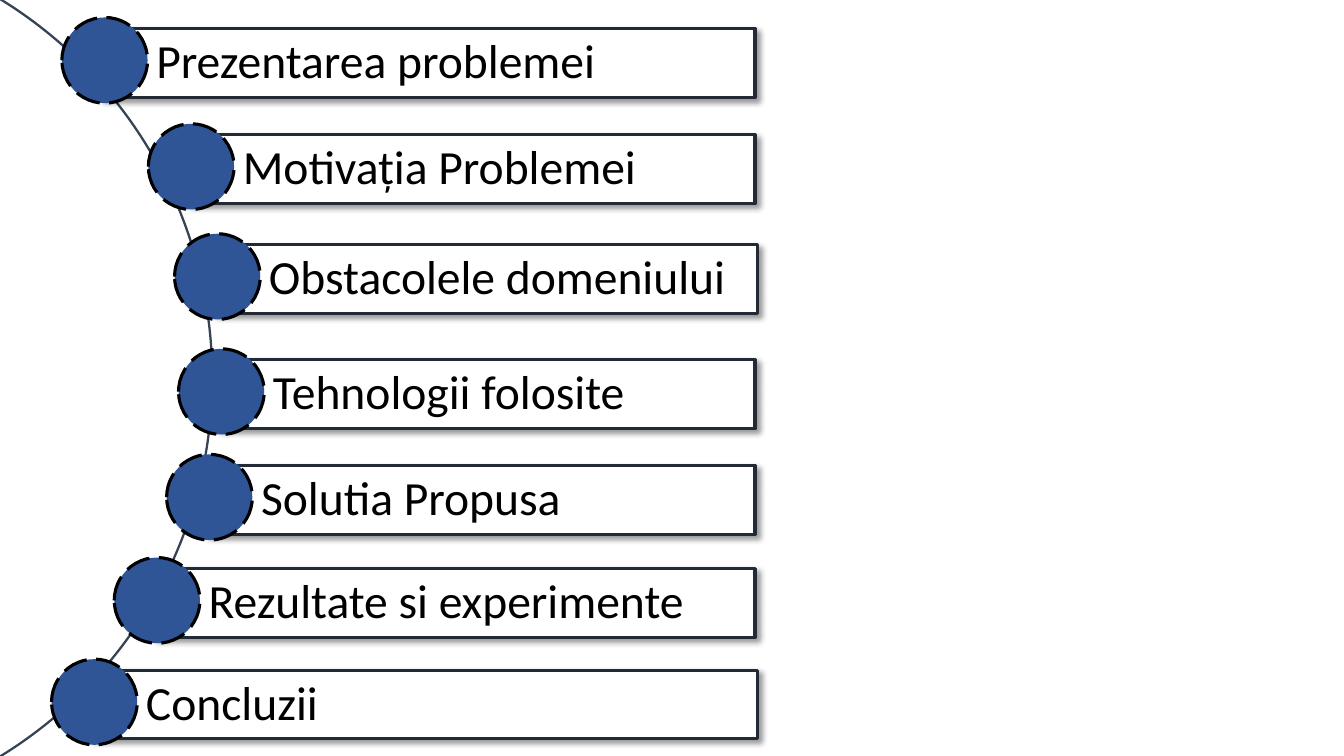
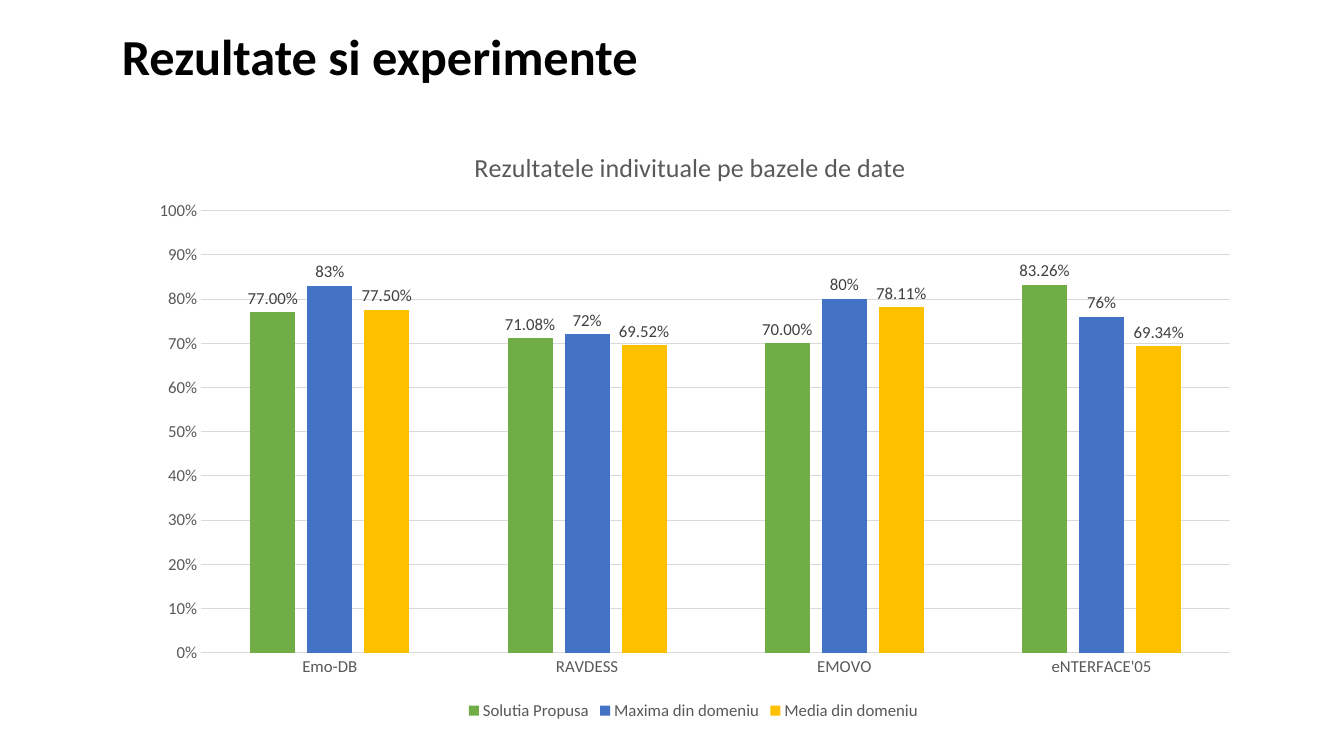
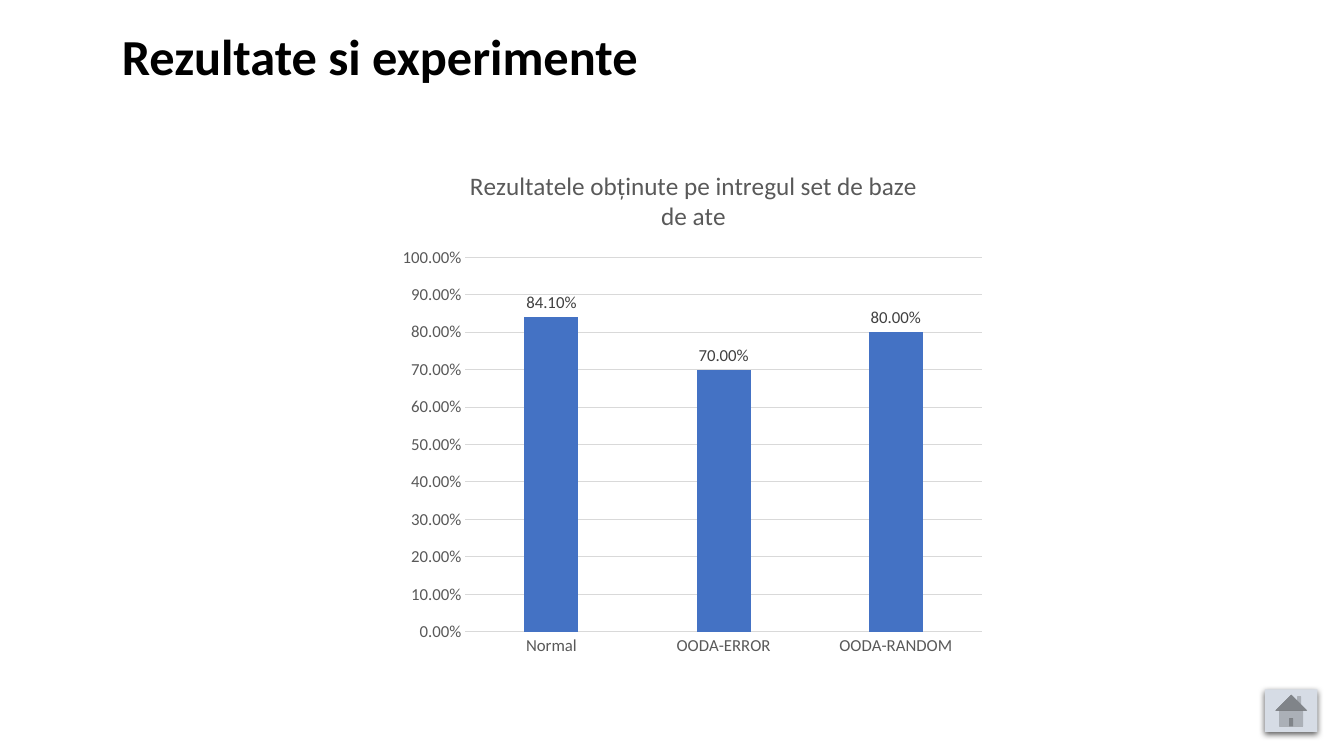
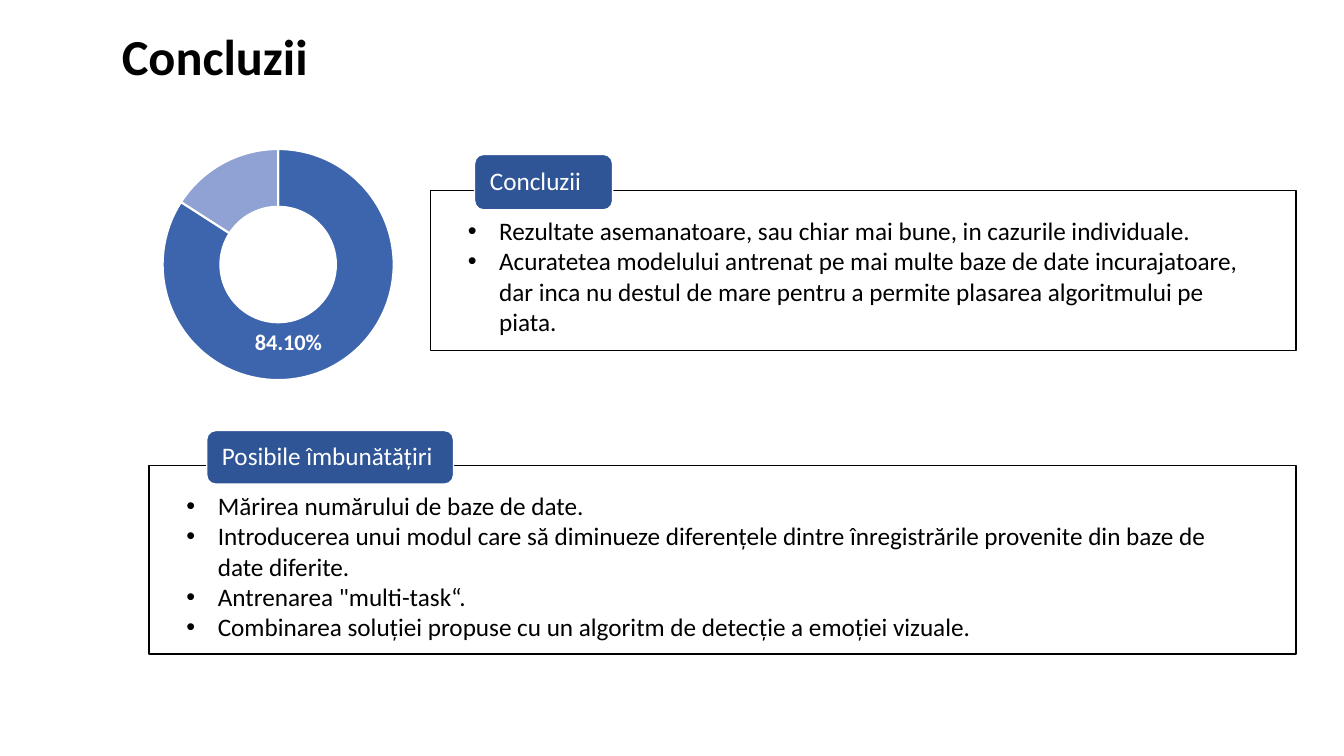
"""Build a four-slide deck on emotion recognition results."""

import copy
import dataclasses
import typing

import pptx
import pptx.chart.chart
import pptx.chart.data
import pptx.dml.color
import pptx.enum.chart
import pptx.enum.dml
import pptx.enum.shapes
import pptx.enum.text
import pptx.oxml
import pptx.oxml.ns
import pptx.shapes.autoshape
import pptx.slide
import pptx.util

Cm = pptx.util.Cm
Pt = pptx.util.Pt
qn = pptx.oxml.ns.qn
SHAPES = pptx.enum.shapes.MSO_SHAPE
ANCHORS = pptx.enum.text.MSO_ANCHOR
CHARTS = pptx.enum.chart.XL_CHART_TYPE

FONT = "Calibri"
BLACK = "000000"
WHITE = "FFFFFF"
NAVY = "2F5597"
BLUE = "4472C4"
GREEN = "70AD47"
GOLD = "FFC000"
PALE = "D6DCE5"
BAR_LINE = "222A35"
ARC_LINE = "364355"
GRID = "D9D9D9"
AXIS_TEXT = "595959"
LABEL_TEXT = "404040"

BAR_HEIGHT = 1.73
BULLET_SIZE = 2.16
BULLET_SHIFT_X = 1.01
BULLET_SHIFT_Y = 0.28
PANEL_RIGHT = 32.66


class Box(typing.NamedTuple):
    """Left, top, width and height in centimetres."""

    left: float
    top: float
    width: float
    height: float

    def lengths(self) -> list[pptx.util.Length]:
        """Return the four values as lengths."""
        return [Cm(value) for value in self]


class Frame(typing.NamedTuple):
    """Place of a chart part, in fractions of the chart."""

    x: float
    y: float
    w: float | None = None
    h: float | None = None


class Shadow(typing.NamedTuple):
    """Black outer shadow: opacity in percent, points and degrees."""

    opacity: int
    blur: float
    distance: float
    angle: int


class TextStyle(typing.NamedTuple):
    """Size, colour and weight of text."""

    size: float
    color: str
    bold: bool = False


@dataclasses.dataclass
class AgendaItem:
    """One bar of the agenda."""

    text: str
    left: float
    top: float
    right: float = 19.03


@dataclasses.dataclass
class Series:
    """One column series of a chart."""

    name: str
    values: list[float]
    color: str
    number_format: str = "0.00%"


@dataclasses.dataclass
class ColumnChart:
    """A column chart with its title and layout."""

    box: Box
    title: str
    title_size: float
    title_frame: Frame
    plot_frame: Frame
    categories: list[str]
    series: list[Series]
    axis_format: str
    legend: bool = False


@dataclasses.dataclass
class Panel:
    """A bordered list with a tab on its upper edge."""

    left: float
    top: float
    height: float
    tab_text: str
    tab: Box
    lines: list[str]


BAR_SHADOW = Shadow(40, 4, 3, 45)
BUTTON_SHADOW = Shadow(63, 4.5, 1.5, 90)
TITLE_BOX = Box(2.82, 0.63, 14.12, 1.73)
AXIS_STYLE = TextStyle(12, AXIS_TEXT)

AGENDA = [
    AgendaItem("Prezentarea problemei", 2.57, 0.72),
    AgendaItem("Motivația Problemei", 4.75, 3.4),
    AgendaItem("Obstacolele domeniului", 5.41, 6.17, 19.1),
    AgendaItem("Tehnologii folosite", 5.51, 9.07),
    AgendaItem("Solutia Propusa", 5.21, 11.73),
    AgendaItem("Rezultate si experimente", 3.89, 14.33),
    AgendaItem("Concluzii", 2.31, 16.89, 19.1),
]

DATABASE_CHART = ColumnChart(
    box=Box(3.38, 3.2, 28.19, 15.06),
    title="Rezultatele indivituale pe bazele de date",
    title_size=18.6,
    title_frame=Frame(0.3, 0.03),
    plot_frame=Frame(0.06, 0.14, 0.92, 0.74),
    categories=["Emo-DB", "RAVDESS", "EMOVO", "eNTERFACE'05"],
    series=[
        Series("Solutia Propusa", [0.77, 0.7108, 0.7, 0.8326], GREEN),
        Series("Maxima din domeniu", [0.83, 0.72, 0.8, 0.76], BLUE, "0%"),
        Series("Media din domeniu", [0.775, 0.6952, 0.7811, 0.6934], GOLD),
    ],
    axis_format="0%",
    legend=True,
)

OVERALL_CHART = ColumnChart(
    box=Box(9.91, 3.73, 15.14, 13.11),
    title="Rezultatele obținute pe intregul set de baze de ate",
    title_size=18,
    title_frame=Frame(0.12, 0.03),
    plot_frame=Frame(0.12, 0.21, 0.86, 0.72),
    categories=["Normal", "OODA-ERROR", "OODA-RANDOM"],
    series=[Series("Series 1", [0.841, 0.7, 0.8], BLUE)],
    axis_format="0.00%",
)

PANELS = [
    Panel(10.85, 4.8, 4.04, "Concluzii", Box(11.96, 3.89, 3.48, 1.4), [
        "Rezultate asemanatoare, sau chiar mai bune, in cazurile individuale.",
        "Acuratetea modelului antrenat pe mai multe baze de date incurajatoare, "
        "dar inca nu destul de mare pentru a permite plasarea algoritmului pe piata.",
    ]),
    Panel(3.76, 11.73, 4.75, "Posibile îmbunătățiri", Box(5.21, 10.85, 6.22, 1.35), [
        "Mărirea numărului de baze de date.",
        "Introducerea unui modul care să diminueze diferențele dintre "
        "înregistrările provenite din baze de date diferite.",
        "Antrenarea \"multi-task“.",
        "Combinarea soluției propuse cu un algoritm de detecție a emoției vizuale.",
    ]),
]


def rgb(color: str) -> pptx.dml.color.RGBColor:
    """Turn a hex string into a colour."""
    return pptx.dml.color.RGBColor.from_string(color)


def style_font(font: typing.Any, style: TextStyle) -> None:
    """Apply the deck font with a size, colour and weight."""
    font.name = FONT
    font.size = Pt(style.size)
    font.bold = style.bold
    font.color.rgb = rgb(style.color)


def fill_solid(fill: typing.Any, color: str) -> None:
    """Give a fill one colour."""
    fill.solid()
    fill.fore_color.rgb = rgb(color)


def style_line(line: typing.Any, color: str, width: float) -> None:
    """Give a line its colour and width in points."""
    line.color.rgb = rgb(color)
    line.width = Pt(width)


def add_shadow(shape: pptx.shapes.autoshape.Shape, shadow: Shadow) -> None:
    """Put an outer shadow on a shape."""
    effects = shape.element.spPr.find(qn("a:effectLst"))
    effects.append(pptx.oxml.parse_xml(
        f'<a:outerShdw {pptx.oxml.ns.nsdecls("a")} blurRad="{Pt(shadow.blur)}" '
        f'dist="{Pt(shadow.distance)}" dir="{shadow.angle * 60000}" algn="tl" rotWithShape="0">'
        f'<a:srgbClr val="{BLACK}"><a:alpha val="{shadow.opacity * 1000}"/></a:srgbClr>'
        '</a:outerShdw>'))


def add_shape(slide: pptx.slide.Slide, kind: SHAPES, box: Box, fill: str | None,
              line: str | None = None, width: float = 1) -> pptx.shapes.autoshape.Shape:
    """Add a flat preset shape."""
    shape = slide.shapes.add_shape(kind, *box.lengths())
    shape.shadow.inherit = False
    if fill:
        fill_solid(shape.fill, fill)
    else:
        shape.fill.background()
    if line:
        style_line(shape.line, line, width)
    else:
        shape.line.fill.background()
    return shape


def set_text(shape: typing.Any, lines: list[str], style: TextStyle,
             insets: tuple[float, float, float, float],
             anchor: ANCHORS = ANCHORS.MIDDLE, spacing: float = 0.9,
             wrap: bool = True) -> None:
    """Write left-aligned paragraphs into a shape."""
    text_frame = shape.text_frame
    text_frame.text = "\n".join(lines)
    text_frame.word_wrap = wrap
    text_frame.auto_size = pptx.enum.text.MSO_AUTO_SIZE.NONE
    text_frame.vertical_anchor = anchor
    (text_frame.margin_left, text_frame.margin_top,
     text_frame.margin_right, text_frame.margin_bottom) = map(Cm, insets)
    for paragraph in text_frame.paragraphs:
        paragraph.alignment = pptx.enum.text.PP_ALIGN.LEFT
        paragraph.line_spacing = spacing
        for run in paragraph.runs:
            style_font(run.font, style)


def add_bullets(shape: pptx.shapes.autoshape.Shape) -> None:
    """Give each paragraph a round bullet and a hanging indent."""
    for paragraph in shape.text_frame.paragraphs:
        properties = paragraph._p.get_or_add_pPr()
        properties.set("marL", str(Cm(0.79)))
        properties.set("indent", str(-Cm(0.79)))
        for tag, name, value in (("a:buFont", "typeface", "Arial"), ("a:buChar", "char", "•")):
            properties.append(pptx.oxml.parse_xml(
                f'<{tag} {pptx.oxml.ns.nsdecls("a")} {name}="{value}"/>'))


def add_titled_slide(presentation: typing.Any, title: str) -> pptx.slide.Slide:
    """Add a title-only slide with the shared title style."""
    slide = presentation.slides.add_slide(presentation.slide_layouts[5])
    placeholder = slide.shapes.title
    (placeholder.left, placeholder.top,
     placeholder.width, placeholder.height) = TITLE_BOX.lengths()
    set_text(placeholder, [title], TextStyle(36, BLACK, True), (0.25, 0.13, 0.25, 0.13))
    return slide


def place_part(part: typing.Any, frame: Frame, index: int, mode: str = "edge") -> None:
    """Fix the place of a chart title, label or plot area."""
    for old in part.findall(qn("c:layout")):
        part.remove(old)
    target = '<c:layoutTarget val="inner"/>' if frame.w else ""
    modes = f'<c:xMode val="{mode}"/><c:yMode val="{mode}"/>'
    values = "".join(f'<c:{name} val="{value}"/>'
                     for name, value in frame._asdict().items() if value is not None)
    part.insert(index, pptx.oxml.parse_xml(
        f'<c:layout {pptx.oxml.ns.nsdecls("c")}><c:manualLayout>'
        f'{target}{modes}{values}</c:manualLayout></c:layout>'))


def add_chart(slide: pptx.slide.Slide, kind: CHARTS, box: Box, categories: list[str],
              values: dict[str, list[float]], plot_frame: Frame) -> pptx.chart.chart.Chart:
    """Add a chart with the shared font and a fixed plot area."""
    data = pptx.chart.data.CategoryChartData()
    data.categories = categories
    for name, numbers in values.items():
        data.add_series(name, numbers)
    chart = slide.shapes.add_chart(kind, *box.lengths(), data).chart
    style_font(chart.font, TextStyle(10, BLACK))
    chart.has_title = False
    chart.has_legend = False
    place_part(chart.element.find(".//" + qn("c:plotArea")), plot_frame, 0)
    return chart


def format_axes(chart: pptx.chart.chart.Chart, number_format: str) -> None:
    """Format the category axis and a value axis from 0 to 1."""
    for axis in (chart.category_axis, chart.value_axis):
        axis.major_tick_mark = pptx.enum.chart.XL_TICK_MARK.NONE
        style_font(axis.tick_labels.font, AXIS_STYLE)
    style_line(chart.category_axis.format.line, GRID, 0.75)
    axis = chart.value_axis
    axis.minimum_scale, axis.maximum_scale, axis.major_unit = 0, 1, 0.1
    axis.format.line.fill.background()
    style_line(axis.major_gridlines.format.line, GRID, 0.75)
    axis.tick_labels.number_format = number_format
    axis.tick_labels.number_format_is_linked = False


def add_column_chart(slide: pptx.slide.Slide, content: ColumnChart) -> None:
    """Draw a clustered column chart."""
    values = {series.name: series.values for series in content.series}
    chart = add_chart(slide, CHARTS.COLUMN_CLUSTERED, content.box,
                      content.categories, values, content.plot_frame)
    chart.has_title = True
    text_frame = chart.chart_title.text_frame
    text_frame.text = content.title
    style_font(text_frame.paragraphs[0].runs[0].font, TextStyle(content.title_size, AXIS_TEXT))
    place_part(chart.element.find(".//" + qn("c:title")), content.title_frame, 1)
    format_axes(chart, content.axis_format)
    if content.legend:
        chart.has_legend = True
        chart.legend.position = pptx.enum.chart.XL_LEGEND_POSITION.BOTTOM
        chart.legend.include_in_layout = False
        style_font(chart.legend.font, AXIS_STYLE)
    plot = chart.plots[0]
    plot.vary_by_categories = False
    plot.gap_width, plot.overlap = 219, -27
    for series, series_content in zip(plot.series, content.series):
        fill_solid(series.format.fill, series_content.color)
        labels = series.data_labels
        labels.show_value = True
        labels.position = pptx.enum.chart.XL_LABEL_POSITION.OUTSIDE_END
        labels.number_format = series_content.number_format
        labels.number_format_is_linked = False
        style_font(labels.font, TextStyle(12, LABEL_TEXT))


def add_accuracy_doughnut(slide: pptx.slide.Slide) -> None:
    """Draw the accuracy ring with a label on its first part only."""
    chart = add_chart(slide, CHARTS.DOUGHNUT, Box(3.38, 3.38, 7.19, 6.78), ["1", "2"],
                      {"Series 1": [84.1, 15.9]}, Frame(0.1, 0.05, 0.81, 0.87))
    series = chart.plots[0].series[0]
    for index, color in enumerate(("3C65AE", "90A2D3")):
        part = series.points[index].format
        fill_solid(part.fill, color)
        style_line(part.line, WHITE, 1.5)
    labels = series.data_labels
    labels.show_percentage = True
    labels.show_value = False
    labels.number_format = "0.00%"
    labels.number_format_is_linked = False
    style_font(labels.font, TextStyle(16, WHITE, True))
    group = chart.element.find(".//" + qn("c:ser")).find(qn("c:dLbls"))
    shown, hidden = (pptx.oxml.parse_xml(
        f'<c:dLbl {pptx.oxml.ns.nsdecls("c")}><c:idx val="{index}"/></c:dLbl>')
        for index in range(2))
    for setting in group:
        if setting.tag != qn("c:showLeaderLines"):
            shown.append(copy.deepcopy(setting))
    place_part(shown, Frame(-0.11, 0.01), 1, "factor")
    hidden.append(pptx.oxml.parse_xml(f'<c:delete {pptx.oxml.ns.nsdecls("c")} val="1"/>'))
    group.insert(0, shown)
    group.insert(1, hidden)
    chart.element.find(".//" + qn("c:holeSize")).set("val", "50")


def add_agenda_item(slide: pptx.slide.Slide, item: AgendaItem) -> None:
    """Draw an agenda bar and the round bullet at its left end."""
    box = Box(item.left, item.top, item.right - item.left, BAR_HEIGHT)
    bar = add_shape(slide, SHAPES.RECTANGLE, box, WHITE, BAR_LINE, 2.25)
    add_shadow(bar, BAR_SHADOW)
    set_text(bar, [item.text], TextStyle(34, BLACK), (1.37, 0.23, 0.23, 0.23))
    box = Box(item.left - BULLET_SHIFT_X, item.top - BULLET_SHIFT_Y, BULLET_SIZE, BULLET_SIZE)
    bullet = add_shape(slide, SHAPES.OVAL, box, NAVY, BLACK, 2.25)
    bullet.line.dash_style = pptx.enum.dml.MSO_LINE.LONG_DASH


def add_panel(slide: pptx.slide.Slide, panel: Panel) -> None:
    """Draw a bordered list and its tab."""
    box = Box(panel.left, panel.top, PANEL_RIGHT - panel.left, panel.height)
    frame = add_shape(slide, SHAPES.RECTANGLE, box, WHITE, BLACK)
    set_text(frame, panel.lines, TextStyle(18, BLACK), (0.94, 0.63, 1.2, 0.3),
             ANCHORS.TOP, 1.0)
    add_bullets(frame)
    tab = add_shape(slide, SHAPES.ROUNDED_RECTANGLE, panel.tab, NAVY, WHITE)
    set_text(tab, [panel.tab_text], TextStyle(18, WHITE), (0.32, 0.08, 0.2, 0.08))


def build_agenda(presentation: typing.Any) -> None:
    """Build the agenda along an arc."""
    slide = presentation.slides.add_slide(presentation.slide_layouts[6])
    arc = add_shape(slide, SHAPES.BLOCK_ARC, Box(-17.04, -1.68, 22.4, 22.4), None, ARC_LINE)
    for index, value in enumerate((179.1, 36.18, 0.001)):
        arc.adjustments[index] = value
    for item in AGENDA:
        add_agenda_item(slide, item)


def build_results(presentation: typing.Any) -> None:
    """Build the two result slides."""
    for content in (DATABASE_CHART, OVERALL_CHART):
        slide = add_titled_slide(presentation, "Rezultate si experimente")
        add_column_chart(slide, content)
    button = add_shape(slide, SHAPES.ACTION_BUTTON_HOME, Box(31.88, 17.37, 1.32, 1.07), PALE)
    add_shadow(button, BUTTON_SHADOW)


def build_conclusions(presentation: typing.Any) -> None:
    """Build the closing slide."""
    slide = add_titled_slide(presentation, "Concluzii")
    add_accuracy_doughnut(slide)
    for panel in PANELS:
        add_panel(slide, panel)


def main() -> None:
    """Build and save the deck."""
    presentation = pptx.Presentation()
    presentation.slide_width = Cm(33.87)
    presentation.slide_height = Cm(19.05)
    build_agenda(presentation)
    build_results(presentation)
    build_conclusions(presentation)
    presentation.save("out.pptx")


if __name__ == "__main__":
    main()
